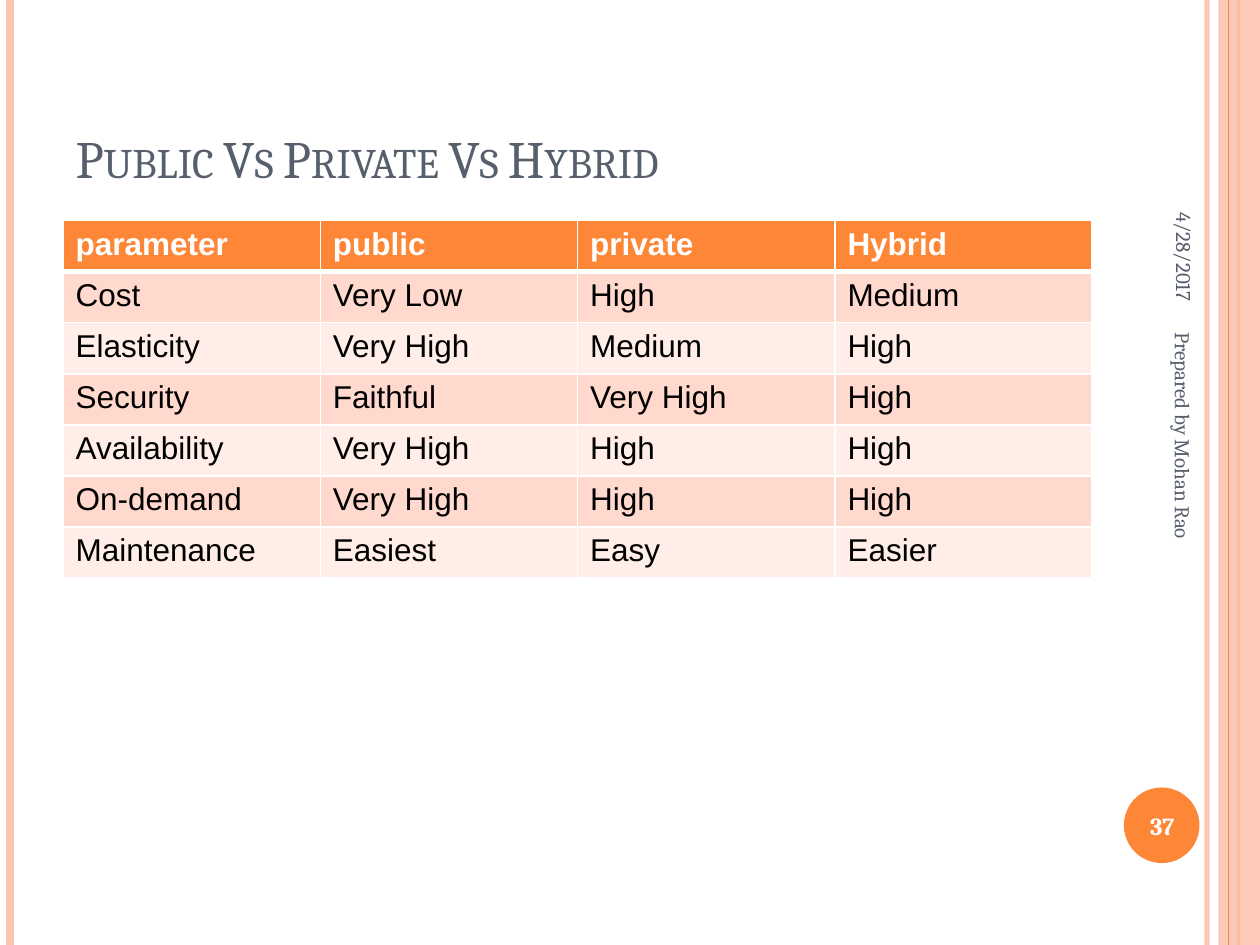
from dataclasses import dataclass

from lxml.etree import SubElement
from pptx import Presentation
from pptx.dml.color import RGBColor
from pptx.enum.shapes import MSO_CONNECTOR, MSO_SHAPE
from pptx.enum.text import MSO_ANCHOR, PP_ALIGN
from pptx.oxml import parse_xml
from pptx.oxml.ns import nsdecls, qn
from pptx.util import Inches, Pt

ORANGE, PEACH, SLATE, WHITE, BLACK = "FE8637", "FEC3AE", "575F6D", "FFFFFF", "000000"
BANDS = ("FFD9CE", "FFEDE8")
ROWS = [
    ("parameter", "public", "private", "Hybrid"),
    ("Cost", "Very Low", "High", "Medium"),
    ("Elasticity", "Very High", "Medium", "High"),
    ("Security", "Faithful", "Very High", "High"),
    ("Availability", "Very High", "High", "High"),
    ("On-demand", "Very High", "High", "High"),
    ("Maintenance", "Easiest", "Easy", "Easier"),
]


@dataclass
class Stripe:
    x: float
    color: str
    width: float
    alpha: int = 100


@dataclass
class Label:
    text: str
    box: tuple[float, float, float, float]
    size: float
    color: str
    align: PP_ALIGN
    bold: bool = False
    rotation: float = 0


BACK_STRIPES = [Stripe(9.58, PEACH, 3, 93), Stripe(0.08, PEACH, 4.5), Stripe(9.83, ORANGE, 1.5)]
FRONT_STRIPE = Stripe(9.75, ORANGE, 0.75)
LABELS = [
    Label("4/28/2017", (8.3, 1.18, 2.2, 0.42), 12, SLATE, PP_ALIGN.RIGHT, rotation=90),
    Label("37", (8.89, 6.27, 0.67, 0.57), 14, WHITE, PP_ALIGN.CENTER, bold=True),
    Label("Prepared by Mohan Rao", (7.64, 4.09, 3.5, 0.4), 12, SLATE, PP_ALIGN.LEFT, rotation=90),
]


def rgb(color: str) -> RGBColor:
    return RGBColor.from_string(color)


def style_font(p, name: str, size: float, color: str, bold: bool = False) -> None:
    p.font.name, p.font.size, p.font.bold = name, Pt(size), bold
    p.font.color.rgb = rgb(color)


def set_alpha(sp, percent: int) -> None:
    """Set the opacity of the first colour in the shape's properties."""
    clr = next(sp._element.spPr.iter(qn("a:srgbClr")))
    SubElement(clr, qn("a:alpha"), val=str(percent * 1000))


def add_stripe(slide, stripe: Stripe) -> None:
    x = Inches(stripe.x)
    line = slide.shapes.add_connector(MSO_CONNECTOR.STRAIGHT, x, 0, x, Inches(7.5))
    line.line.color.rgb = rgb(stripe.color)
    line.line.width = Pt(stripe.width)
    if stripe.alpha < 100:
        set_alpha(line, stripe.alpha)
    SubElement(line._element.spPr, qn("a:effectLst"))


def add_filled(slide, kind: MSO_SHAPE, box: tuple[float, ...], color: str):
    sp = slide.shapes.add_shape(kind, *map(Inches, box))
    sp.shadow.inherit = False
    sp.fill.solid()
    sp.fill.fore_color.rgb = rgb(color)
    sp.line.fill.background()
    return sp


def add_label(slide, label: Label) -> None:
    sp = slide.shapes.add_textbox(*map(Inches, label.box))
    sp.rotation = label.rotation
    tf = sp.text_frame
    tf.word_wrap = True
    tf.vertical_anchor = MSO_ANCHOR.MIDDLE
    p = tf.paragraphs[0]
    p.text, p.alignment = label.text, label.align
    style_font(p, "Cambria", label.size, label.color, label.bold)


def set_title(slide, text: str) -> None:
    title = slide.shapes.title
    title.left, title.top, title.width, title.height = map(Inches, (0.5, 0.3, 8.17, 1.25))
    tf = title.text_frame
    tf.word_wrap = True
    tf.vertical_anchor = MSO_ANCHOR.BOTTOM
    p = tf.paragraphs[0]
    p.alignment = PP_ALIGN.LEFT
    style_font(p, "Cambria", 30, SLATE)
    r = p.add_run()
    r.text = text
    r._r.get_or_add_rPr().set("cap", "small")


def set_borders(cell, widths: dict[str, float]) -> None:
    tc_pr = cell._tc.get_or_add_tcPr()
    for i, (side, width) in enumerate(widths.items()):
        tc_pr.insert(i, parse_xml(
            f'<a:ln{side} {nsdecls("a")} w="{Pt(width)}"><a:solidFill>'
            f'<a:srgbClr val="{WHITE}"/></a:solidFill></a:ln{side}>'))


def add_comparison(slide) -> None:
    box = map(Inches, (0.5, 1.75, 8.17, 2.84))
    table = slide.shapes.add_table(len(ROWS), len(ROWS[0]), *box).table
    for i, row in enumerate(ROWS):
        header = i == 0
        for j, text in enumerate(row):
            cell = table.cell(i, j)
            cell.fill.solid()
            cell.fill.fore_color.rgb = rgb(ORANGE if header else BANDS[(i - 1) % 2])
            set_borders(cell, {"L": 1, "R": 1, "T": 3 if i == 1 else 1, "B": 3 if header else 1})
            p = cell.text_frame.paragraphs[0]
            p.text = text
            style_font(p, "Arial", 18, WHITE if header else BLACK, header)


def main() -> None:
    prs = Presentation()
    prs.slide_width, prs.slide_height = Inches(10), Inches(7.5)
    slide = prs.slides.add_slide(prs.slide_layouts[5])
    for stripe in BACK_STRIPES:
        add_stripe(slide, stripe)
    side_band = add_filled(slide, MSO_SHAPE.RECTANGLE, (9.67, 0, 0.33, 7.5), PEACH)
    set_alpha(side_band, 87)
    add_stripe(slide, FRONT_STRIPE)
    add_filled(slide, MSO_SHAPE.OVAL, (8.92, 6.25, 0.6, 0.6), ORANGE)
    set_title(slide, "Public Vs Private Vs Hybrid")
    for label in LABELS:
        add_label(slide, label)
    add_comparison(slide)
    prs.save("out.pptx")


if __name__ == "__main__":
    main()
